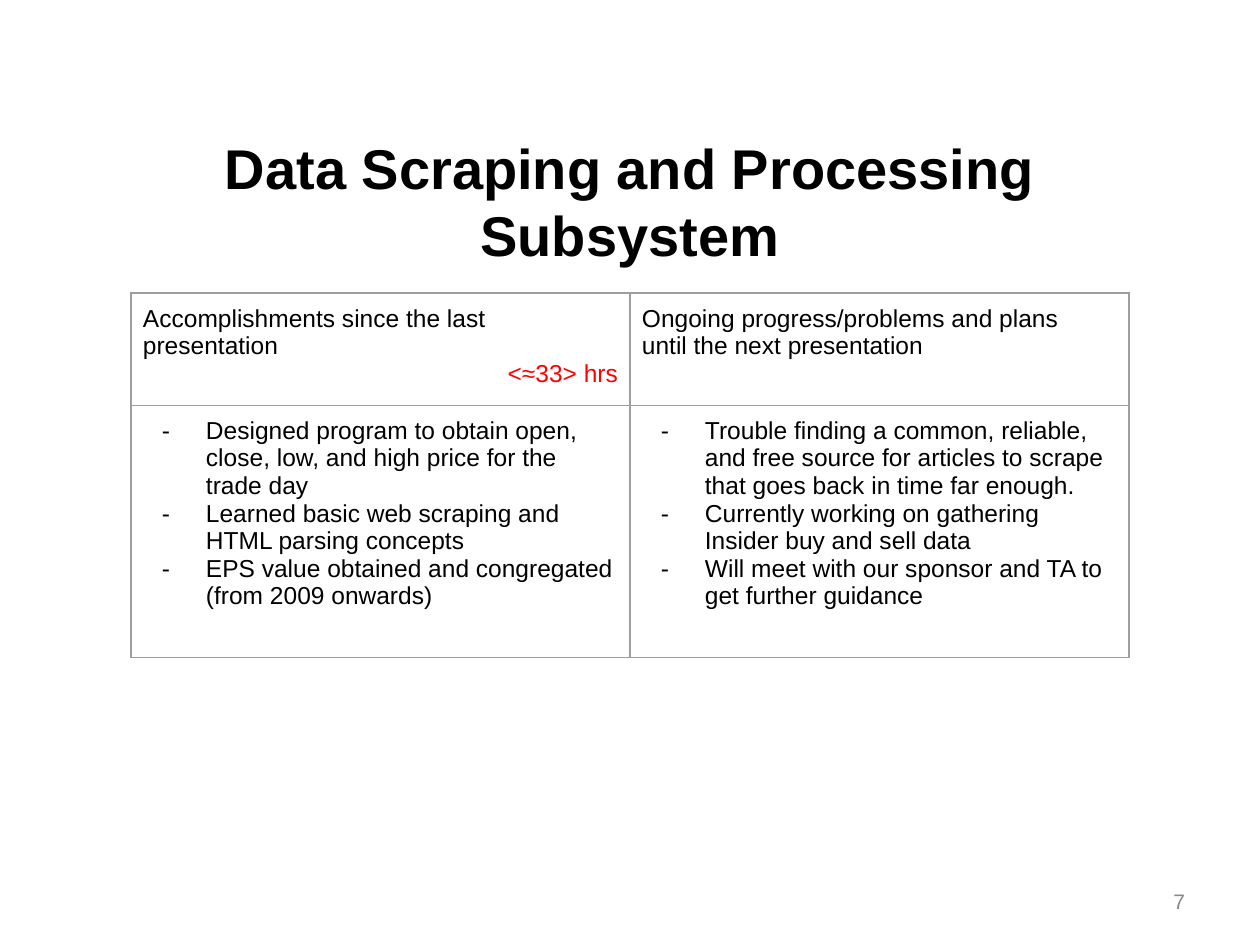
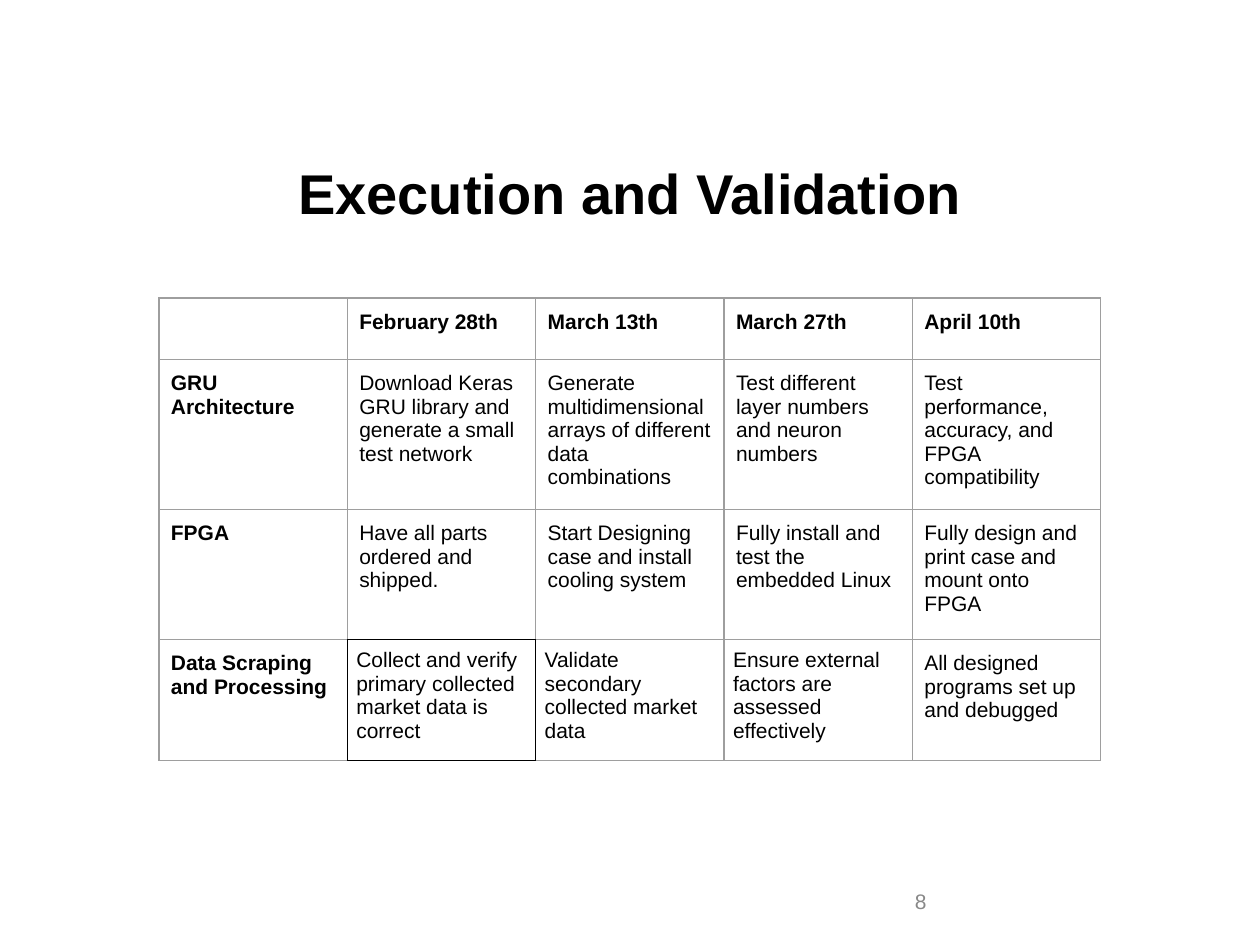
from lxml.etree import SubElement as Sub
from pptx import Presentation
from pptx.dml.color import RGBColor as Rgb
from pptx.enum.text import MSO_ANCHOR as Anchor, PP_ALIGN as Align
from pptx.oxml.ns import qn
from pptx.util import Pt

SCALE = 914400 / 126
INK, GREY, RED, DIM = "000000", "9E9E9E", "FF0000", "888888"
PAD = 12
TITLE = {"size": Pt(32), "bold": True}
BODY = {"size": Pt(14)}
SMALL = {"size": Pt(12)}
SIDES = ("left", "right", "top", "bottom")

HEADS = (
    ["Accomplishments since the last", "presentation"],
    ["Ongoing progress/problems and plans", "until the next presentation"],
)
HOURS = "<≈33> hrs"
POINTS = (
    ["Designed program to obtain open, close, low, and high price for the trade day",
     "Learned basic web scraping and HTML parsing concepts",
     "EPS value obtained and congregated (from 2009 onwards)"],
    ["Trouble finding a common, reliable, and free source for articles to scrape "
     "that goes back in time far enough.",
     "Currently working on gathering Insider buy and sell data",
     "Will meet with our sponsor and TA to get further guidance"],
)
PLAN = (
    ("", "February 28th", "March 13th", "March 27th", "April 10th"),
    ("GRU Architecture",
     "Download Keras GRU library and generate a small test network",
     "Generate multidimensional arrays of different data combinations",
     "Test different layer numbers and neuron numbers",
     "Test performance, accuracy, and FPGA compatibility"),
    ("FPGA",
     "Have all parts ordered and shipped.",
     "Start Designing case and install cooling system",
     "Fully install and test the embedded Linux",
     "Fully design and print case and mount onto FPGA"),
    ("Data Scraping and Processing",
     "Collect and verify primary collected market data is correct",
     "Validate secondary collected market data",
     "Ensure external factors are assessed effectively",
     "All designed programs set up and debugged"),
)
TIGHT = {(3, 1), (3, 2), (3, 3)}
DARK = {(3, 1): "LRTB", (2, 1): "B", (3, 0): "R", (3, 2): "L"}


def px(num):
    return round(num * SCALE)


def tint(code):
    return Rgb.from_string(code)


def style(item, form):
    for key, val in form.items():
        setattr(item, key, val)


def write(frame, lines, form, hue=INK, align=Align.LEFT):
    for num, line in enumerate(lines):
        para = frame.paragraphs[0] if num == 0 else frame.add_paragraph()
        para.alignment = align
        run = para.add_run()
        run.text = line
        style(run.font, {"name": "Arial", **form})
        run.font.color.rgb = tint(hue)


def label(slide, box, text, form, hue=INK, align=Align.LEFT):
    frame = slide.shapes.add_textbox(*map(px, box)).text_frame
    style(frame, {"word_wrap": True, "vertical_anchor": Anchor.MIDDLE})
    style(frame, {f"margin_{side}": px(PAD) for side in SIDES})
    write(frame, [text], form, hue, align)


def title(slide, top, text):
    label(slide, (63, top, 1134, 111), text, TITLE, align=Align.CENTER)


def folio(slide, text, align):
    label(slide, (903, 876, 294, 50), text, SMALL, DIM, align)


def edge(cell, dark=""):
    props = cell._tc.get_or_add_tcPr()
    for spot, side in enumerate("LRTB"):
        line = Sub(props, qn(f"a:ln{side}"), w=str(Pt(0.75)))
        fill = Sub(line, qn("a:solidFill"))
        Sub(fill, qn("a:srgbClr"), val=INK if side in dark else GREY)
        props.insert(spot, line)


def grid(slide, box, cols, rows):
    left, top, width = box
    area = map(px, (left, top, width, sum(rows)))
    table = slide.shapes.add_table(len(rows), cols, *area).table
    style(table, {"first_row": False, "horz_banding": False})
    for col in table.columns:
        col.width = px(width / cols)
    for row, high in zip(table.rows, rows):
        row.height = px(high)
    return table


def setup(cell, pad=PAD, dark=""):
    cell.fill.background()
    style(cell, {f"margin_{side}": px(pad) for side in SIDES})
    edge(cell, dark)
    return cell.text_frame


def dash(para):
    props = para._p.get_or_add_pPr()
    props.set("marL", str(px(63)))
    props.set("indent", str(px(-44)))
    hue = Sub(props, qn("a:buClr"))
    Sub(hue, qn("a:srgbClr"), val=INK)
    Sub(props, qn("a:buFont"), typeface="Arial")
    Sub(props, qn("a:buChar"), char="-")


def status(slide, box):
    table = grid(slide, box, 2, (108, 252))
    for col, (head, points) in enumerate(zip(HEADS, POINTS)):
        write(setup(table.cell(0, col)), head, BODY)
        frame = setup(table.cell(1, col))
        write(frame, points, BODY)
        for para in frame.paragraphs:
            dash(para)
    para = table.cell(0, 0).text_frame.add_paragraph()
    para.alignment = Align.RIGHT
    run = para.add_run()
    run.text = HOURS
    style(run.font, {"name": "Arial", **BODY})
    run.font.color.rgb = tint(RED)


def plan(slide, box):
    table = grid(slide, box, len(PLAN[0]), (60, 143, 130, 121))
    for row, texts in enumerate(PLAN):
        for col, text in enumerate(texts):
            spot = row, col
            pad = 9 if spot in TIGHT else PAD
            frame = setup(table.cell(row, col), pad, DARK.get(spot, ""))
            write(frame, [text], {**SMALL, "bold": row == 0 or col == 0})


def main():
    deck = Presentation()
    style(deck, {"slide_width": px(1260), "slide_height": px(945)})
    blank = deck.slide_layouts[6]

    slide = deck.slides.add_slide(blank)
    title(slide, 145, "Data Scraping and Processing Subsystem")
    status(slide, (131, 293, 998))
    folio(slide, "7", Align.RIGHT)

    slide = deck.slides.add_slide(blank)
    title(slide, 137, "Execution and Validation")
    plan(slide, (159, 298, 942))
    folio(slide, "8", Align.LEFT)

    deck.save("out.pptx")


if __name__ == "__main__":
    main()
